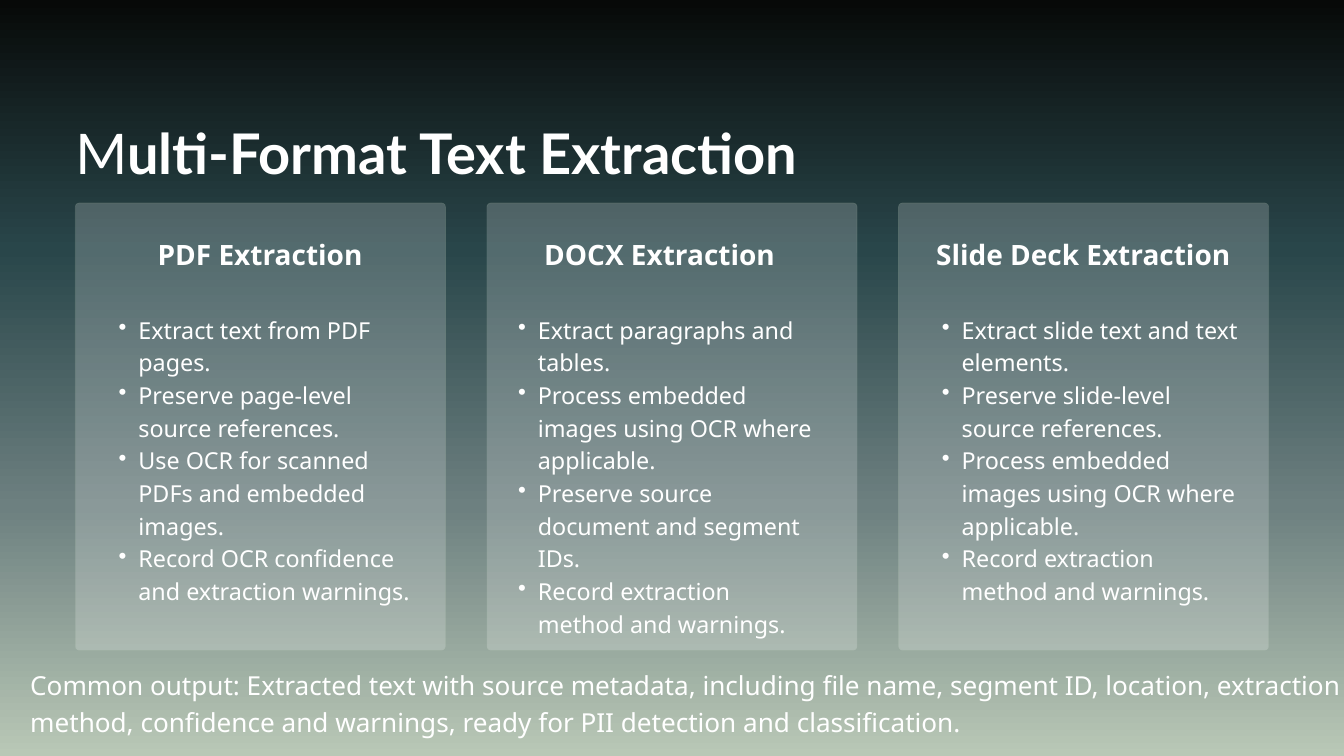
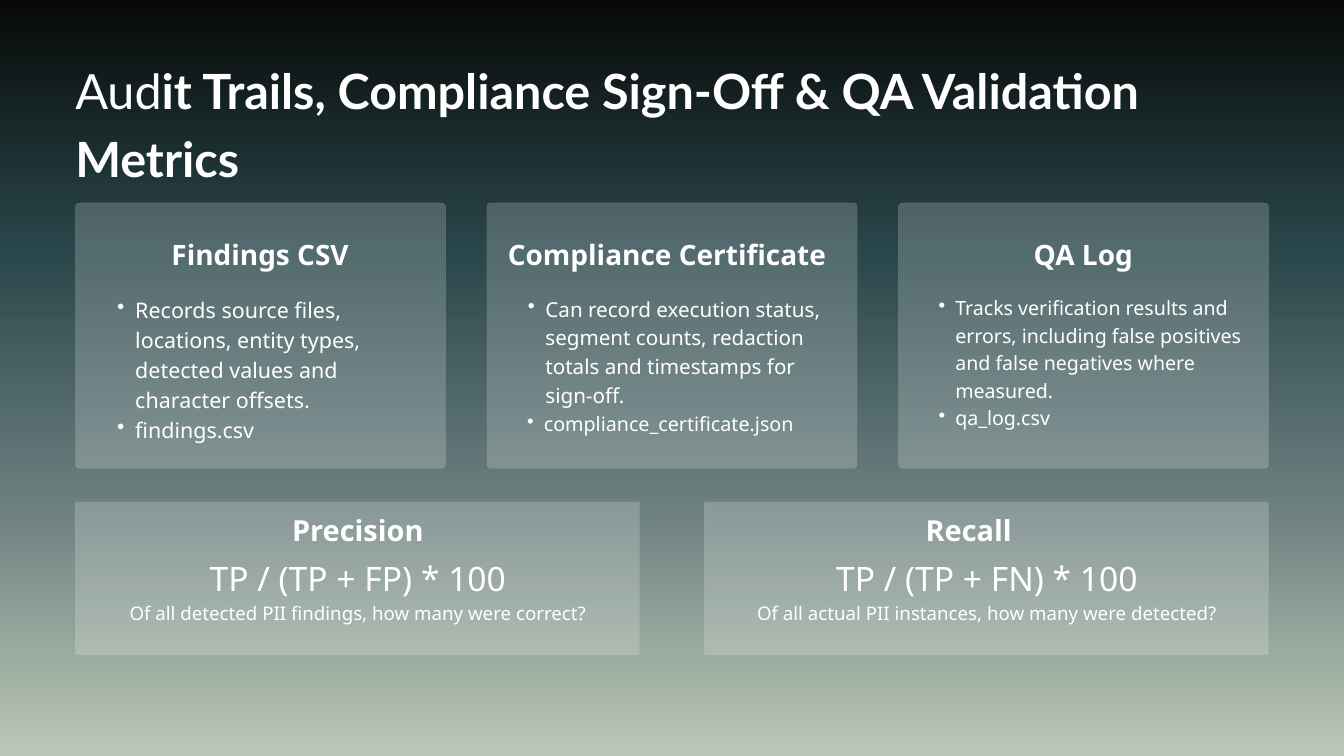
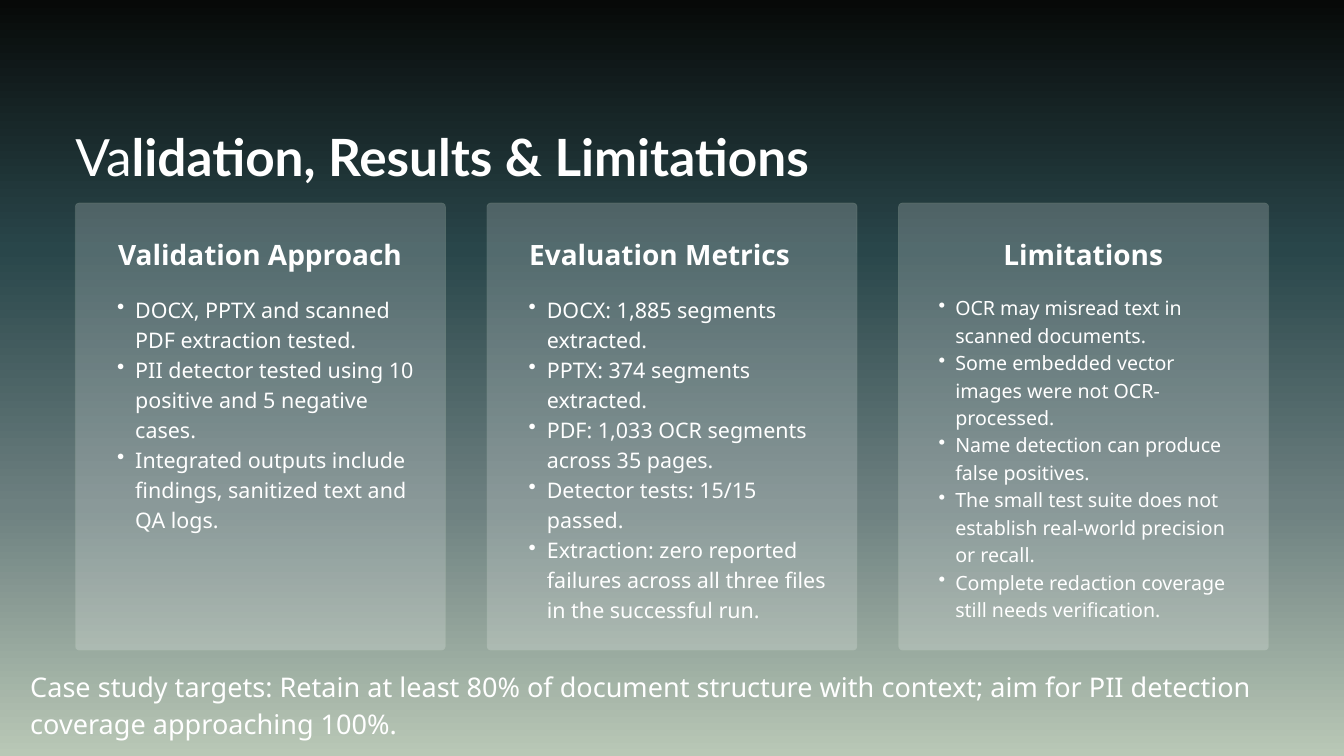
import dataclasses

import pptx
import pptx.dml.color
import pptx.enum.shapes
import pptx.enum.text
import pptx.oxml
import pptx.oxml.ns
import pptx.util

Inches = pptx.util.Inches
qn = pptx.oxml.ns.qn
ALIGN = pptx.enum.text.PP_ALIGN


# Shared look
@dataclasses.dataclass(frozen=True)
class Theme:
    white: str = "FFFFFF"
    edge: str = "9EB49F"
    backdrop: tuple = ((0, "070908"), (33, "29464A"), (67, "6D8080"), (100, "B9C8B6"))
    panel_opacity: int = 20
    title_font: str = "Lato"
    body_font: str = "Noto Sans"
    heading_size: int = 30
    metric_size: int = 31
    formula_size: int = 36
    question_size: int = 20
    body_leading: float = 1.4
    heading_leading: float = 1.2
    hang_per_point: float = 0.0118


THEME = Theme()
SLIDE_WIDTH, SLIDE_HEIGHT = 20, 11.25
MARGIN = 1.12
TITLE_BOTTOM = 2.74
CARD_TOP, CARD_WIDTH = 3.02, 5.51
METRIC_TOP, METRIC_WIDTH = 7.47, 8.4


@dataclasses.dataclass
class Run:
    text: str
    size: float = None
    bold: bool = False


@dataclasses.dataclass
class Card:
    heading: str
    points: list
    size: float
    heading_inset: float = 0.35
    points_inset: float = 0.35
    points_width: float = 4.8


def column_lefts(count, width):
    gap = (SLIDE_WIDTH - 2 * MARGIN - count * width) / (count - 1)
    return [MARGIN + i * (width + gap) for i in range(count)]


# Element builders
def set_bullet(paragraph, size):
    paragraph.level = 1
    hang = THEME.hang_per_point * size
    properties = paragraph._p.get_or_add_pPr()
    properties.set("marL", str(Inches(2 * hang)))
    properties.set("indent", str(-Inches(hang)))
    marker = properties.makeelement(qn("a:buChar"), {"char": "•"})
    properties.append(marker)


def add_text(slide, box, paragraphs, *, size, font=THEME.body_font, bold=False,
             leading=THEME.body_leading, align=ALIGN.LEFT, bullets=False):
    """Each paragraph is a string, a Run or a list of Runs."""
    frame = slide.shapes.add_textbox(*map(Inches, box)).text_frame
    frame.margin_left = frame.margin_top = frame.margin_right = frame.margin_bottom = 0
    frame.word_wrap = True
    frame.auto_size = pptx.enum.text.MSO_AUTO_SIZE.SHAPE_TO_FIT_TEXT
    for index, content in enumerate(paragraphs):
        paragraph = frame.add_paragraph() if index else frame.paragraphs[0]
        parts = content if isinstance(content, list) else [content]
        parts = [Run(part) if isinstance(part, str) else part for part in parts]
        paragraph_size = parts[0].size or size
        if bullets:
            set_bullet(paragraph, paragraph_size)
        paragraph.alignment = align
        paragraph.line_spacing = pptx.util.Pt(round(paragraph_size * leading, 1))
        for part in parts:
            run = paragraph.add_run()
            run.text = part.text
            run.font.name = font
            run.font.size = pptx.util.Pt(part.size or size)
            run.font.bold = bold or part.bold
            run.font.color.rgb = pptx.dml.color.RGBColor.from_string(THEME.white)


def add_panel(slide, box, radius):
    panel = slide.shapes.add_shape(
        pptx.enum.shapes.MSO_SHAPE.ROUNDED_RECTANGLE, *map(Inches, box))
    panel.adjustments[0] = radius / min(box[2:])
    panel.shadow.inherit = False
    panel.fill.solid()
    panel.fill.fore_color.rgb = pptx.dml.color.RGBColor.from_string(THEME.white)
    panel.line.color.rgb = pptx.dml.color.RGBColor.from_string(THEME.edge)
    panel.line.width = pptx.util.Pt(0.75)
    for color in panel._element.spPr.iter(qn("a:srgbClr")):
        color.append(color.makeelement(
            qn("a:alpha"), {"val": str(THEME.panel_opacity * 1000)}))


def add_backdrop(slide):
    fill = slide.background.fill
    fill.gradient()
    fill.gradient_angle = 270
    stops = next(slide.element.iter(qn("a:gsLst")))
    for stop in list(stops):
        stops.remove(stop)
    for position, color in THEME.backdrop:
        stop = stops.makeelement(qn("a:gs"), {"pos": str(position * 1000)})
        stop.append(stop.makeelement(qn("a:srgbClr"), {"val": color}))
        stops.append(stop)


def add_titled_slide(deck, light, strong, size, top):
    slide = deck.slides.add_slide(deck.slide_layouts[6])
    add_backdrop(slide)
    add_text(slide, (MARGIN, top, 17.75, TITLE_BOTTOM - top),
             [[Run(light), Run(strong, bold=True)]], size=size, font=THEME.title_font)
    return slide


def add_cards(slide, cards, height, points_top):
    for left, card in zip(column_lefts(len(cards), CARD_WIDTH), cards):
        add_panel(slide, (left, CARD_TOP, CARD_WIDTH, height), 0.06)
        add_text(slide, (left + card.heading_inset, 3.54, 4.8, 0.5), [card.heading],
                 size=THEME.heading_size, bold=True, leading=THEME.heading_leading,
                 align=ALIGN.CENTER)
        points_height = CARD_TOP + height - points_top
        add_text(slide, (left + card.points_inset, points_top, card.points_width,
                         points_height), card.points, size=card.size, bullets=True)


def add_metric(slide, left, name, formula, question, name_inset):
    add_panel(slide, (left, METRIC_TOP, METRIC_WIDTH, 2.28), 0.02)
    add_text(slide, (left + name_inset, 7.63, 7.33, 0.53), [name],
             size=THEME.metric_size, bold=True, leading=THEME.heading_leading,
             align=ALIGN.CENTER)
    add_text(slide, (left + 0.54, 8.2, 7.33, 1.1),
             [formula, Run(question, THEME.question_size)],
             size=THEME.formula_size, align=ALIGN.CENTER)


def add_summary(slide, text, size):
    add_text(slide, (0.45, 9.89, 19.55, 1.62), [text], size=size)


# Slides
def build_extraction(deck):
    slide = add_titled_slide(deck, "M", "ulti-Format Text Extraction", 60, 1.6)
    add_cards(slide, [
        Card("PDF Extraction", [
            "Extract text from PDF pages.",
            "Preserve page-level source references.",
            "Use OCR for scanned PDFs and embedded images.",
            "Record OCR confidence and extraction warnings."], 25),
        Card("DOCX Extraction", [
            "Extract paragraphs and tables.",
            "Process embedded images using OCR where applicable.",
            "Preserve source document and segment IDs.",
            "Record extraction method and warnings."], 25,
            heading_inset=0.17, points_inset=0.17),
        Card("Slide Deck Extraction", [
            "Extract slide text and text elements.",
            "Preserve slide-level source references.",
            "Process embedded images using OCR where applicable.",
            "Record extraction method and warnings."], 25),
    ], height=6.66, points_top=4.63)
    add_summary(slide, "Common output: Extracted text with source metadata, including "
                "file name, segment ID, location, extraction method, confidence and "
                "warnings, ready for PII detection and classification.", 28)


def build_audit(deck):
    slide = add_titled_slide(
        deck, "Aud", "it Trails, Compliance Sign-Off & QA Validation Metrics", 52, 0.76)
    add_cards(slide, [
        Card("Findings CSV", [
            "Records source files, locations, entity types, detected values and "
            "character offsets.",
            "findings.csv"], 23),
        Card("Compliance Certificate", [
            "Can record execution status, segment counts, redaction totals and "
            "timestamps for sign-off.",
            Run("compliance_certificate.json", 21.1)], 22.1,
            heading_inset=0.28, points_width=4.63),
        Card("QA Log", [
            "Tracks verification results and errors, including false positives and "
            "false negatives where measured.",
            "qa_log.csv"], 21),
    ], height=3.95, points_top=4.35)
    precision_left, recall_left = column_lefts(2, METRIC_WIDTH)
    add_metric(slide, precision_left, "Precision", "TP / (TP + FP) * 100",
               "Of all detected PII findings, how many were correct?", 0.54)
    add_metric(slide, recall_left, "Recall", "TP / (TP + FN) * 100",
               "Of all actual PII instances, how many were detected?", 0.27)


def build_validation(deck):
    slide = add_titled_slide(deck, "Va", "lidation, Results & Limitations", 55, 1.71)
    add_cards(slide, [
        Card("Validation Approach", [
            "DOCX, PPTX and scanned PDF extraction tested.",
            "PII detector tested using 10 positive and 5 negative cases.",
            "Integrated outputs include findings, sanitized text and QA logs."], 23),
        Card("Evaluation Metrics", [
            "DOCX: 1,885 segments extracted.",
            "PPTX: 374 segments extracted.",
            "PDF: 1,033 OCR segments across 35 pages.",
            "Detector tests: 15/15 passed.",
            "Extraction: zero reported failures across all three files in the "
            "successful run."], 23, heading_inset=0.17),
        Card("Limitations", [
            "OCR may misread text in scanned documents.",
            "Some embedded vector images were not OCR-processed.",
            "Name detection can produce false positives.",
            "The small test suite does not establish real-world precision or recall.",
            "Complete redaction coverage still needs verification."], 21),
    ], height=6.66, points_top=4.35)
    add_summary(slide, "Case study targets: Retain at least 80% of document structure "
                "with context; aim for PII detection coverage approaching 100%.", 29)


def main():
    deck = pptx.Presentation()
    deck.slide_width = Inches(SLIDE_WIDTH)
    deck.slide_height = Inches(SLIDE_HEIGHT)
    build_extraction(deck)
    build_audit(deck)
    build_validation(deck)
    deck.save("out.pptx")


if __name__ == "__main__":
    main()
